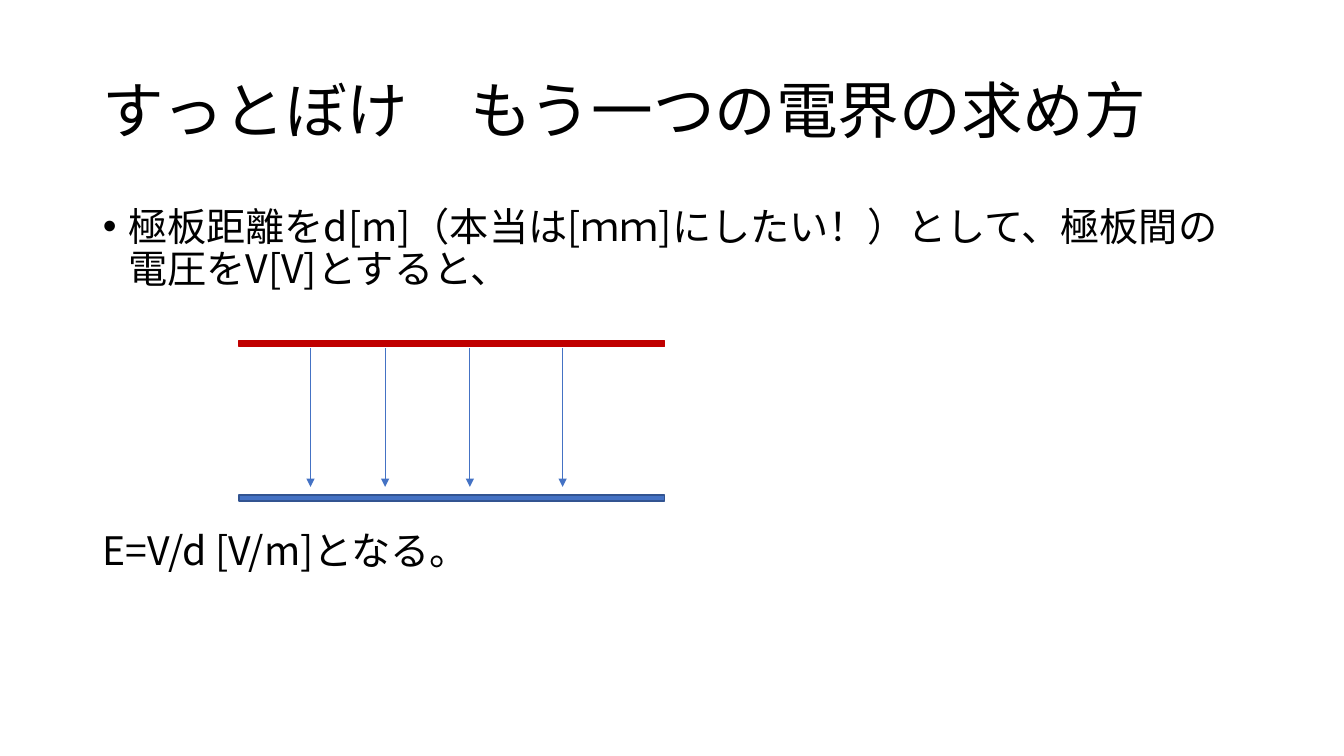
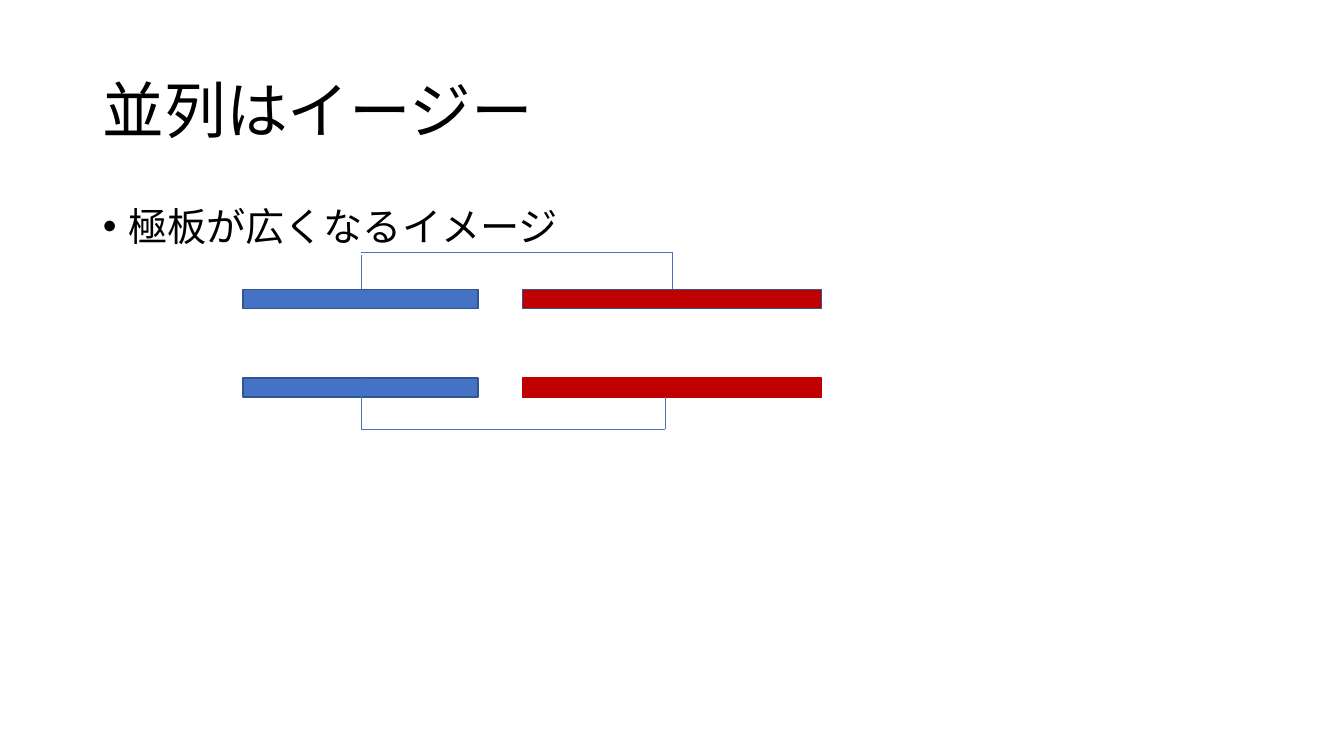
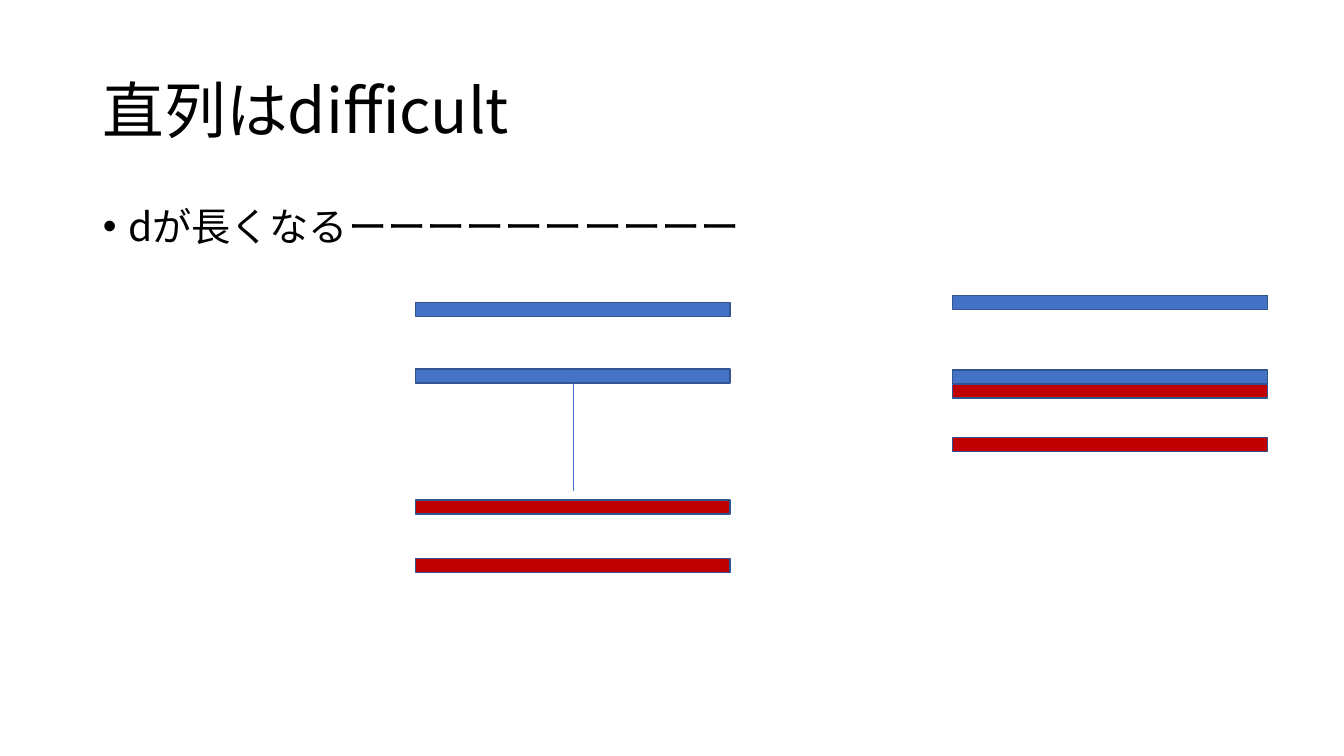
from pptx import Presentation
from pptx.dml.color import RGBColor
from pptx.enum.shapes import MSO_CONNECTOR, MSO_SHAPE
from pptx.enum.text import MSO_ANCHOR, MSO_AUTO_SIZE
from pptx.oxml.ns import qn
from pptx.util import Pt
from lxml.etree import SubElement

PX = 9144
FONT = "Noto Sans CJK JP"
RED, BLUE, EDGE = "C00000", "4472C4", "325491"
TITLE = (92, 40, 1150, 145)
BODY = (92, 200, 1150, 476)
STYLES = {
    "p:titleStyle": {"size": 44, "left": 0, "hang": 0},
    "p:bodyStyle": {"size": 28, "left": 25, "hang": -25},
}

SLIDES = [
    {
        "title": "すっとぼけ　もう一つの電界の求め方",
        "body": "極板距離をd[m]（本当は[ｍｍ]にしたい！）として、極板間の電圧をV[V]とすると、",
        "end": "E=V/d [V/m]となる。",
        "bars": [
            (237, 338, 422, 6, RED, RED),
            (237, 491, 422, 6, BLUE, EDGE),
        ],
        "arrows": [(x, 345, x, 483) for x in (308, 382, 466, 558)],
    },
    {
        "title": "並列はイージー",
        "body": "極板が広くなるイメージ",
        "bars": [
            (241, 287, 233, 19, BLUE, EDGE),
            (241, 375, 233, 19, BLUE, EDGE),
            (518, 287, 297, 19, RED, EDGE),
            (518, 375, 297, 19, RED, RED),
        ],
        "wires": [
            (358, 287, 358, 253),
            (358, 250, 667, 250),
            (667, 250, 667, 287),
            (358, 375, 358, 426),
            (660, 394, 660, 426),
            (358, 426, 660, 426),
        ],
    },
    {
        "title": "直列はdifficult",
        "body": "dが長くなるーーーーーーーーーー",
        "bars": [
            (x, y, 312, 14, fill, EDGE)
            for x, tops in ((412, (300, 366, 496, 554)), (945, (293, 367, 381, 434)))
            for y, fill in zip(tops, (BLUE, BLUE, RED, RED))
        ],
        "wires": [(569, 380, 569, 487)],
    },
]


def color(code):
    return RGBColor.from_string(code)


def emu(*sizes):
    return [size * PX for size in sizes]


def style(master):
    for tag, look in STYLES.items():
        level = master.element.find(".//" + qn(tag)).find(qn("a:lvl1pPr"))
        level.set("algn", "l")
        level.set("marL", str(look["left"] * PX))
        level.set("indent", str(look["hang"] * PX))
        run = level.find(qn("a:defRPr"))
        run.set("sz", str(look["size"] * 100))
        for script in ("a:latin", "a:ea"):
            run.find(qn(script)).set("typeface", FONT)


def place(holder, box):
    holder.left, holder.top, holder.width, holder.height = emu(*box)
    holder.text_frame.auto_size = MSO_AUTO_SIZE.NONE
    return holder.text_frame


def write(slide, page):
    frame = place(slide.shapes.title, TITLE)
    frame.text = page["title"]
    frame.vertical_anchor = MSO_ANCHOR.MIDDLE
    frame.paragraphs[0].line_spacing = 0.9
    frame = place(slide.placeholders[1], BODY)
    frame.text = page["body"]
    frame.paragraphs[0].space_before = Pt(10)
    if "end" in page:
        last = frame.add_paragraph()
        last.text = page["end"]
        last.space_before = Pt(171)
    for para in frame.paragraphs:
        para.line_spacing = Pt(30.3)
    if "end" in page:
        props = last._p.get_or_add_pPr()
        props.set("marL", "0")
        props.set("indent", "0")
        SubElement(props, qn("a:buNone"))


def bar(slide, x, y, wide, high, fill, edge):
    shape = slide.shapes.add_shape(MSO_SHAPE.RECTANGLE, *emu(x, y, wide, high))
    shape.shadow.inherit = False
    shape.fill.solid()
    shape.fill.fore_color.rgb = color(fill)
    shape.line.color.rgb = color(edge)
    shape.line.width = Pt(1)


def wire(slide, ends, head=False):
    link = slide.shapes.add_connector(MSO_CONNECTOR.STRAIGHT, *emu(*ends))
    link.line.color.rgb = color(BLUE)
    link.line.width = Pt(0.5)
    props = link._element.spPr
    if head:
        SubElement(props.find(qn("a:ln")), qn("a:tailEnd"), type="triangle")
    SubElement(props, qn("a:effectLst"))


def main():
    deck = Presentation()
    deck.slide_width, deck.slide_height = emu(1333, 750)
    style(deck.slide_master)
    for page in SLIDES:
        slide = deck.slides.add_slide(deck.slide_layouts[1])
        write(slide, page)
        for item in page["bars"]:
            bar(slide, *item)
        for ends in page.get("wires", []):
            wire(slide, ends)
        for ends in page.get("arrows", []):
            wire(slide, ends, head=True)
    deck.save("out.pptx")


if __name__ == "__main__":
    main()
